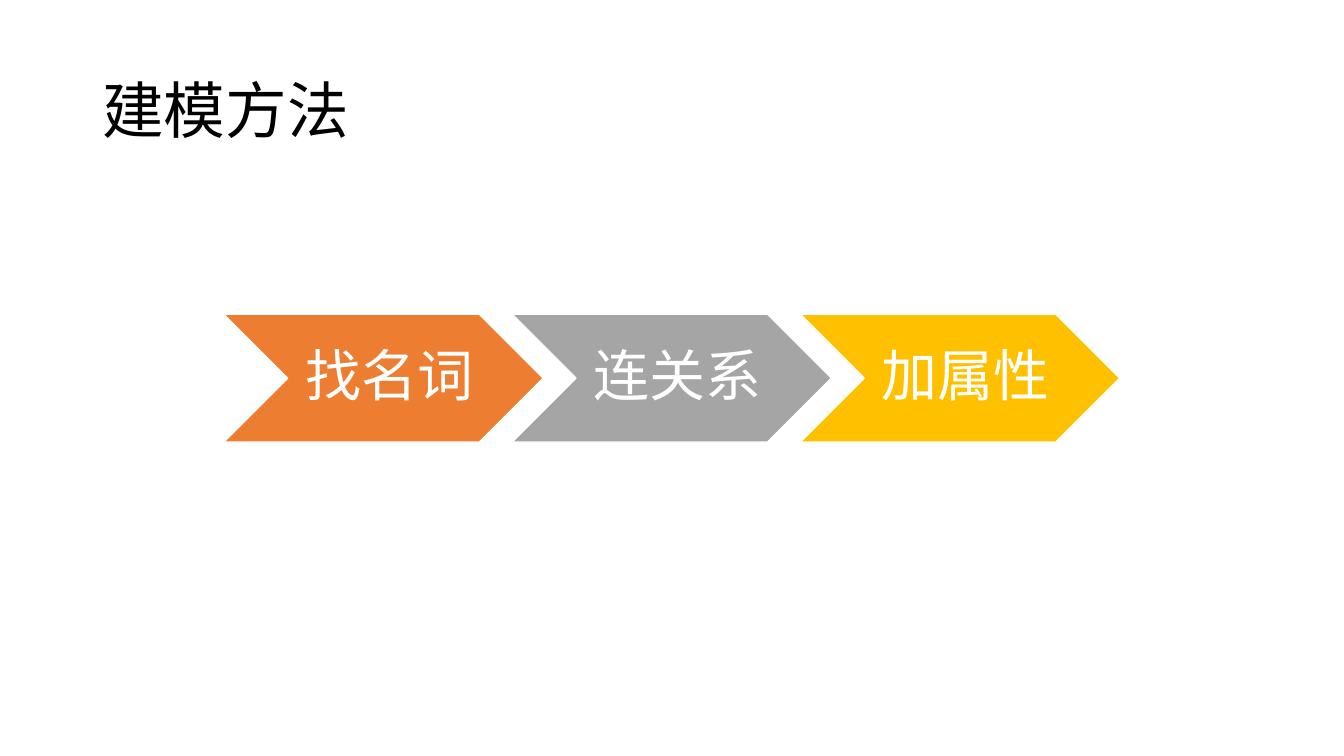
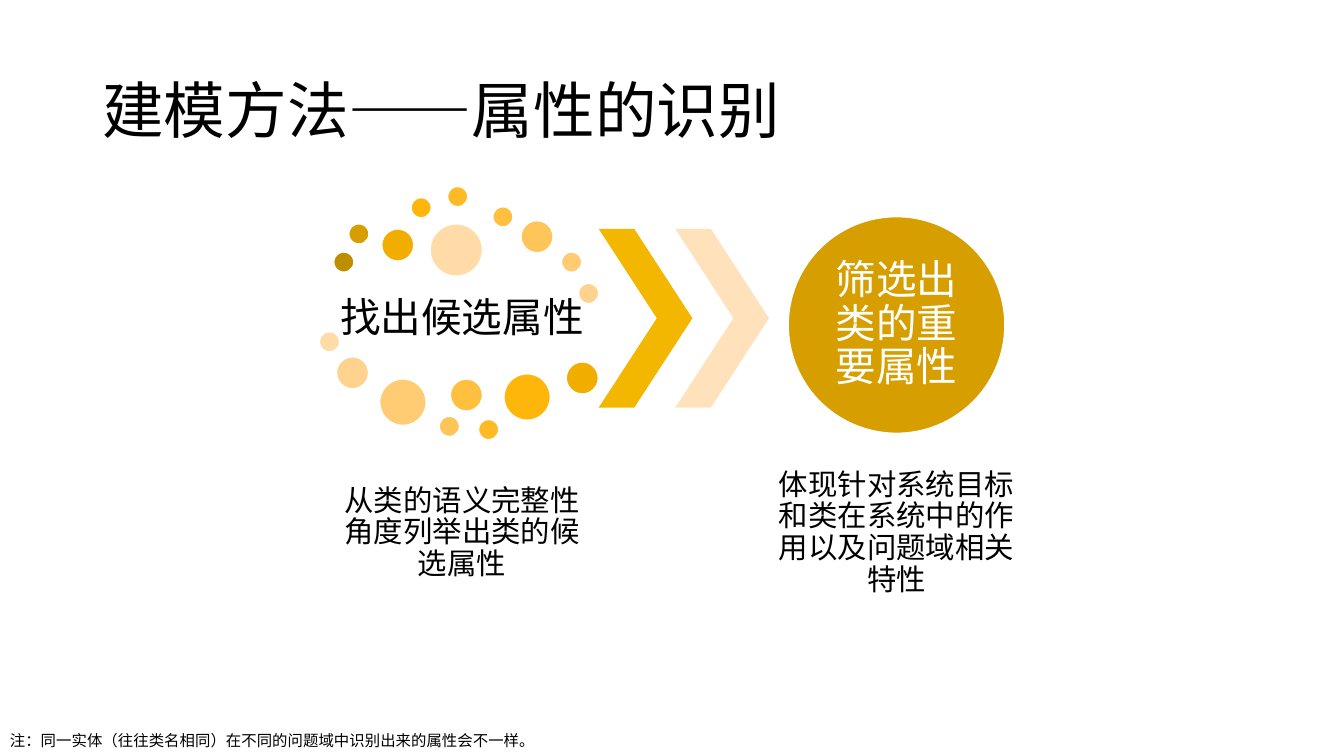
from lxml.etree import SubElement
from pptx import Presentation
from pptx.dml.color import RGBColor
from pptx.enum.shapes import MSO_SHAPE
from pptx.enum.text import MSO_ANCHOR, MSO_AUTO_SIZE, PP_ALIGN
from pptx.oxml.ns import qn
from pptx.util import Cm, Pt

FONT = "Noto Sans CJK SC"
BLACK, WHITE = "000000", "FFFFFF"
ORANGE, GREY, GOLD = "ED7D31", "A5A5A5", "FFC000"
SHADES = ["BD8E00", "D79E00", "F1AD00", "FFB60B", "FFBA25",
          "FFBF3F", "FFC559", "FFCB73", "FFD38D", "FFDCA7"]
ARROW_DARK, ARROW_LIGHT = "F4B700", "FFE2BC"
SMALL, MEDIUM, LARGE, LARGEST = 0.51, 0.81, 1.17, 1.32
DOTS = [(0.36, 1.65, SMALL), (0.74, 0.94, SMALL), (1.57, 1.07, MEDIUM),
        (2.31, 0.28, SMALL), (3.23, 0, SMALL), (4.37, 0.51, SMALL),
        (5.08, 0.86, MEDIUM), (6.1, 1.65, SMALL), (6.53, 2.44, SMALL),
        (2.79, 0.94, LARGEST), (0, 3.66, SMALL), (0.43, 4.29, MEDIUM),
        (1.52, 4.85, LARGE), (3.02, 5.79, SMALL), (3.3, 4.85, MEDIUM),
        (4.01, 5.87, SMALL), (4.65, 4.72, LARGE), (6.22, 4.42, MEDIUM)]


def color(value):
    """Turn a hex string into a colour."""
    return RGBColor.from_string(value)


def write_text(shape, text, size=21, fill=BLACK, font=FONT, align=PP_ALIGN.CENTER,
               anchor=MSO_ANCHOR.MIDDLE, insets=(0.08, 0.08, 0.08, 0.08),
               spacing=0.9, wrap=True):
    """Write one formatted paragraph into a shape."""
    frame = shape.text_frame
    frame.auto_size = MSO_AUTO_SIZE.NONE
    frame.word_wrap = wrap
    frame.vertical_anchor = anchor
    frame.margin_left, frame.margin_top, frame.margin_right, frame.margin_bottom = map(Cm, insets)
    para = frame.paragraphs[0]
    para.alignment = align
    para.line_spacing = spacing
    span = para.add_run()
    span.text = text
    span.font.size = Pt(size)
    span.font.color.rgb = color(fill)
    span.font.name = font
    SubElement(span.font._element, qn("a:ea"), typeface=font)


def add_text(page, box, text, **style):
    """Add a text box in the given box."""
    shape = page.shapes.add_textbox(*map(Cm, box))
    write_text(shape, text, **style)
    return shape


def add_figure(page, kind, box, fill, outlined=True):
    """Add a filled shape, with a white outline if wanted."""
    shape = page.shapes.add_shape(kind, *map(Cm, box))
    shape.shadow.inherit = False
    shape.fill.solid()
    shape.fill.fore_color.rgb = color(fill)
    if outlined:
        shape.line.color.rgb = color(WHITE)
        shape.line.width = Pt(1)
    else:
        shape.line.fill.background()
    return shape


def add_page(deck, title):
    """Add a page with the shared title style."""
    page = deck.slides.add_slide(deck.slide_layouts[5])
    shape = page.shapes.title
    shape.left, shape.top, shape.width, shape.height = map(Cm, (2.33, 1.01, 29.21, 3.68))
    write_text(shape, title, size=44, align=PP_ALIGN.LEFT,
               insets=(0.25, 0.13, 0.25, 0.13))
    return page


def add_steps(page, box, steps):
    """Fill the box with a row of evenly spaced chevrons."""
    left, top, width, height = box
    step_width = 8.05
    pitch = (width - step_width) / (len(steps) - 1)
    for index, (text, fill) in enumerate(steps):
        step = add_figure(page, MSO_SHAPE.CHEVRON,
                          (left + index * pitch, top, step_width, height), fill)
        write_text(step, text, size=40, fill=WHITE, wrap=False,
                   insets=(0.43, 0.15, 0.15, 0.15))


def add_detail(page, box, text):
    """Place a detail caption along the bottom of the box."""
    left, top, width, height = box
    caption_height = 3.96
    add_text(page, (left, top + height - caption_height, width, caption_height), text)


def add_candidates(page, box, heading, detail):
    """Place a heading ringed by dots, with its detail below."""
    left, top, width, height = box
    text_left, text_width = left + 0.38, 6.43
    add_text(page, (text_left, top + 2.29, text_width, 2.11), heading, size=29)
    add_detail(page, (text_left, top, text_width, height), detail)
    for (x, y, size), fill in zip(DOTS, SHADES + SHADES[:1:-1]):
        add_figure(page, MSO_SHAPE.OVAL, (left + x, top + y, size, size), fill)


def add_arrows(page, box):
    """Place two chevrons at the ends of the box."""
    left, top, width, height = box
    arrow_width = 2.36
    for x, fill in ((left, ARROW_DARK), (left + width - arrow_width, ARROW_LIGHT)):
        arrow = add_figure(page, MSO_SHAPE.CHEVRON, (x, top, arrow_width, height), fill,
                           outlined=False)
        arrow.adjustments[0] = 0.62


def add_selection(page, box, heading, detail):
    """Place a circle centred in the box, with its detail below."""
    left, top, width, height = box
    size = 5.46
    circle = add_figure(page, MSO_SHAPE.OVAL,
                        (left + (width - size) / 2, top, size, size), SHADES[1])
    write_text(circle, heading, size=29, fill=WHITE, font="DejaVu Sans",
               insets=(0, 0, 0, 0))
    add_detail(page, box, detail)


def build_method(deck):
    """Build the page of modelling steps."""
    page = add_page(deck, "建模方法")
    add_steps(page, (5.64, 7.92, 22.58, 3.22),
              [("找名词", ORANGE), ("连关系", GREY), ("加属性", GOLD)])


def build_attributes(deck):
    """Build the page on identifying attributes."""
    page = add_page(deck, "建模方法——属性的识别")
    add_text(page, (0, 18.29, 33.87, 0.74),
             "注：同一实体（往往类名相同）在不同的问题域中识别出来的属性会不一样。",
             size=11, align=PP_ALIGN.LEFT, anchor=MSO_ANCHOR.TOP, spacing=1.0,
             insets=(0.25, 0.13, 0.25, 0.13))
    add_candidates(page, (8.05, 4.7, 7.04, 10.72), "找出候选属性",
                   "从类的语义完整性角度列举出类的候选属性")
    add_arrows(page, (15.09, 5.77, 4.29, 4.5))
    add_selection(page, (19.38, 5.46, 6.43, 9.96), "筛选出类的重要属性",
                  "体现针对系统目标和类在系统中的作用以及问题域相关特性")


def main():
    """Build and save the deck."""
    deck = Presentation()
    deck.slide_width, deck.slide_height = Cm(33.87), Cm(19.05)
    build_method(deck)
    build_attributes(deck)
    deck.save("out.pptx")


if __name__ == "__main__":
    main()
